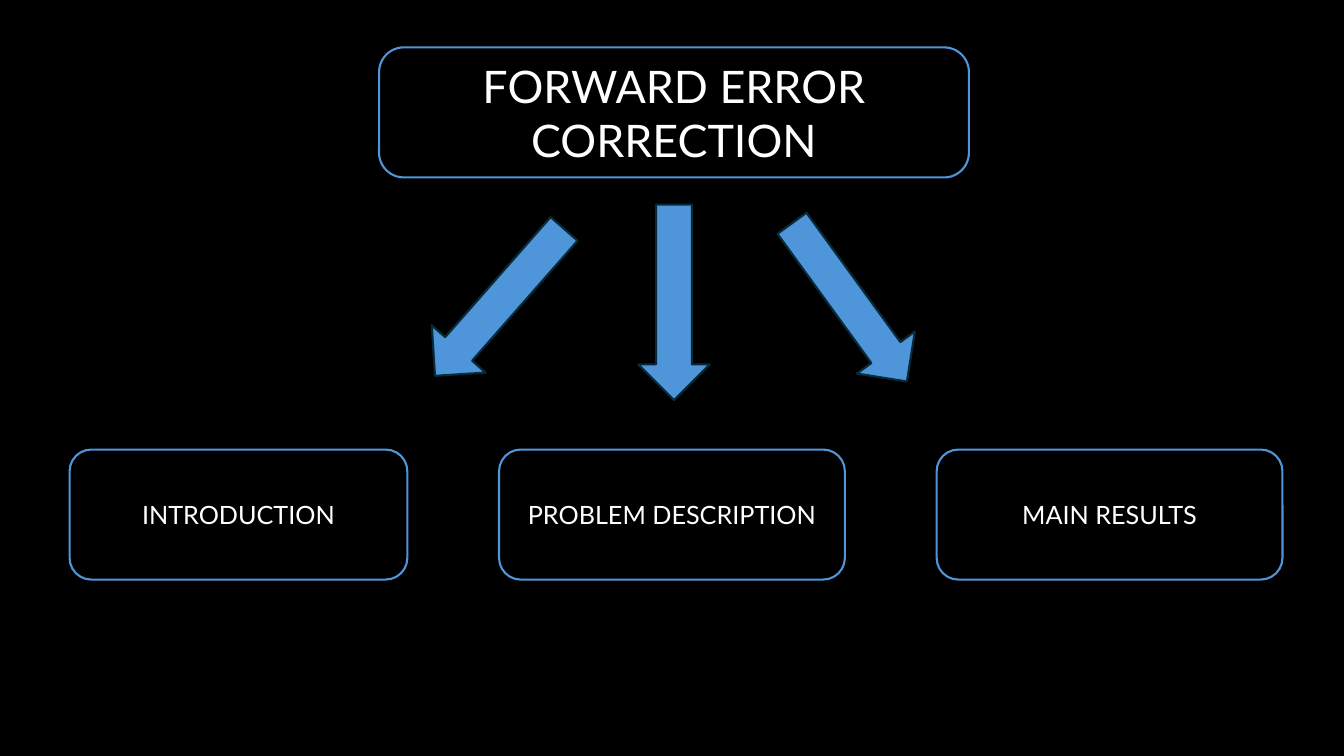
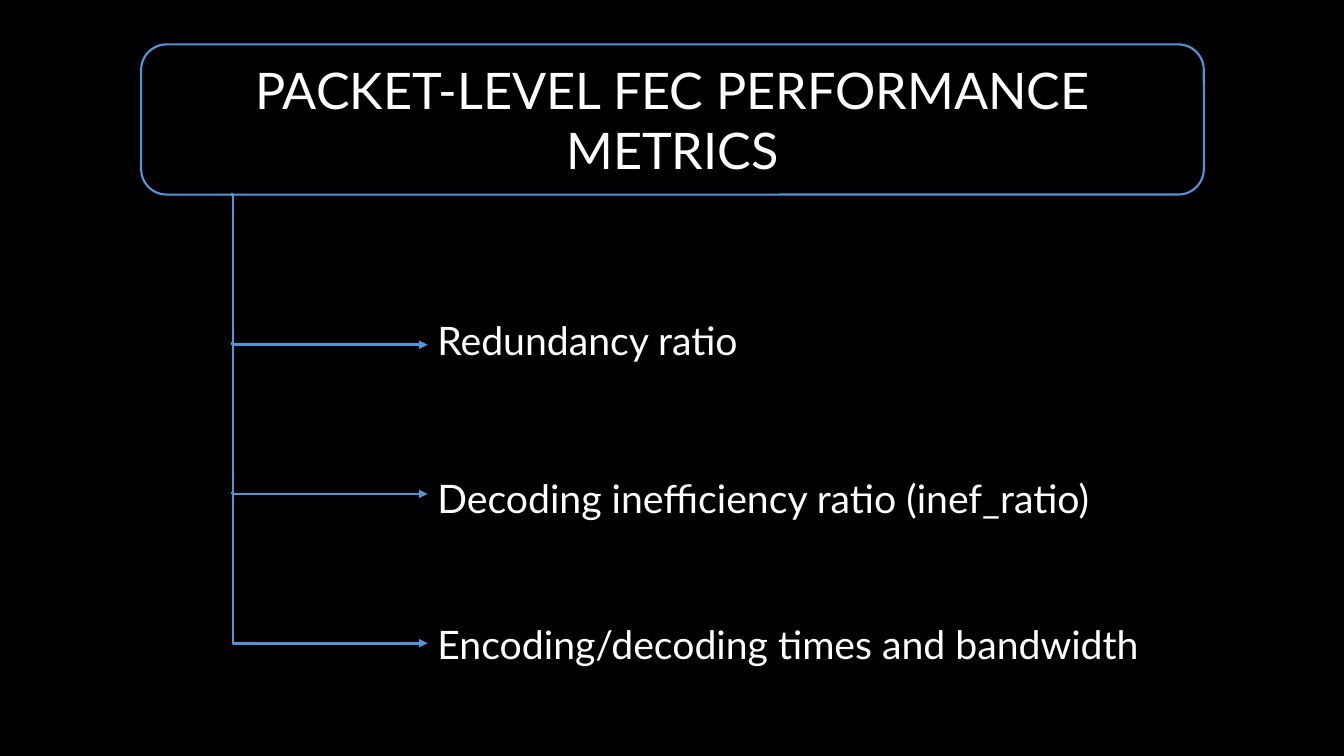
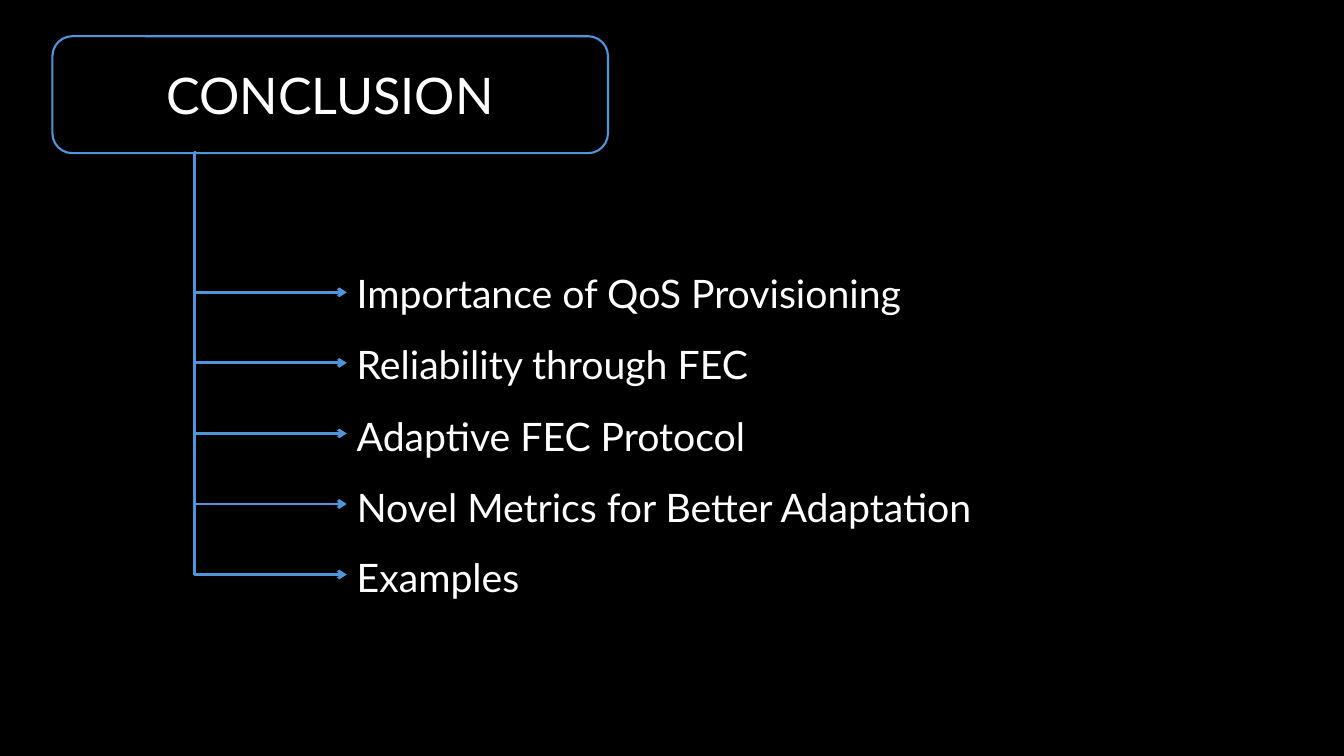
import pptx
import pptx.util
import pptx.dml.color
import pptx.enum.shapes
import pptx.enum.text
import pptx.oxml
import pptx.oxml.ns

PX = 9144
BLACK = pptx.dml.color.RGBColor(0x00, 0x00, 0x00)
WHITE = pptx.dml.color.RGBColor(0xFF, 0xFF, 0xFF)
BLUE = pptx.dml.color.RGBColor(0x4E, 0x95, 0xD9)
NAVY = pptx.dml.color.RGBColor(0x09, 0x2A, 0x39)
FONT = "Lato"
SHAPE = pptx.enum.shapes.MSO_SHAPE
ALIGN = pptx.enum.text.PP_ALIGN


def emu(*lengths):
    """Turn px lengths into EMU."""
    return [pptx.util.Emu(length * PX) for length in lengths]


def write(tf, text, size, align=ALIGN.LEFT):
    """Write one run into the first paragraph of a text frame."""
    tf.word_wrap = True
    p = tf.paragraphs[0]
    p.alignment = align
    r = p.add_run()
    r.text = text
    r.font.name = FONT
    r.font.size = pptx.util.Pt(size)
    r.font.color.rgb = WHITE


def add_figure(s, kind, box, fill, line):
    """Add a filled and outlined preset shape."""
    sp = s.shapes.add_shape(kind, *emu(*box))
    sp.shadow.inherit = False
    sp.fill.solid()
    sp.fill.fore_color.rgb = fill
    sp.line.color.rgb = line
    sp.line.width = pptx.util.Pt(1.5)
    return sp


def add_card(s, box, text):
    """Add a rounded card with a centred label."""
    sp = add_figure(s, SHAPE.ROUNDED_RECTANGLE, box, BLACK, BLUE)
    write(sp.text_frame, text, 18, ALIGN.CENTER)


def add_title(s, box, text, size, corner=0.17):
    """Place the title over a rounded panel that fills the box."""
    panel = add_figure(s, SHAPE.ROUNDED_RECTANGLE, box, BLACK, BLUE)
    panel.adjustments[0] = corner
    title = s.shapes.title
    title._element.addprevious(panel._element)
    title.left, title.top, title.width, title.height = emu(*box)
    tf = title.text_frame
    tf.auto_size = pptx.enum.text.MSO_AUTO_SIZE.NONE
    tf.vertical_anchor = pptx.enum.text.MSO_ANCHOR.MIDDLE
    write(tf, text, size, ALIGN.CENTER)


def add_branch(s, box, bend, head):
    """Add an elbow arrow from the top left to the bottom right of the box."""
    x, y, w, h = box
    c = s.shapes.add_connector(
        pptx.enum.shapes.MSO_CONNECTOR.ELBOW, *emu(x, y, x + w, y + h))
    c.line.color.rgb = BLUE
    c.line.width = pptx.util.Pt(2)
    qn = pptx.oxml.ns.qn
    sub = pptx.oxml.parse_xml
    ns = pptx.oxml.ns.nsdecls("a")
    spPr = c._element.spPr
    spPr.find(qn("a:prstGeom")).get_or_add_avLst().append(
        sub(f'<a:gd {ns} name="adj1" fmla="val {bend}"/>'))
    spPr.find(qn("a:ln")).append(sub(f'<a:tailEnd {ns} type="{head}"/>'))
    spPr.append(sub(f"<a:effectLst {ns}/>"))


def add_item(s, box, text):
    """Add one line of the list."""
    sp = s.shapes.add_textbox(*emu(*box))
    write(sp.text_frame, text, 28)
    sp.text_frame.auto_size = pptx.enum.text.MSO_AUTO_SIZE.SHAPE_TO_FIT_TEXT


def new_slide(prs):
    """Add a title-only slide."""
    return prs.slides.add_slide(prs.slide_layouts[5])


def overview_slide(prs, title, cards):
    """Build a title with arrows to a row of cards."""
    s = new_slide(prs)
    add_title(s, (376, 47, 585, 129), title, 32, 0.19)
    x = 69
    for text, width in cards:
        add_card(s, (x, 446, width, 129), text)
        x += width + 91
    for left, angle in (633, 0), (460, 41.3), (807, 324):
        arrow = add_figure(s, SHAPE.DOWN_ARROW, (left, 203, 71, 194), BLUE, NAVY)
        arrow.rotation = angle


def tree_slide(prs, title, box, branch, pitch, bend, head, items):
    """Build a title whose trunk branches out to each list item."""
    s = new_slide(prs)
    add_title(s, box, title, 36)
    x, y, w, h = branch
    for i, (text, top, width) in enumerate(items):
        add_branch(s, (x, y + i * pitch, w, h), bend, head)
        add_item(s, (x + w, top, width, 57), text)


def main():
    """Build and save the presentation."""
    prs = pptx.Presentation()
    prs.slide_width, prs.slide_height = emu(1333, 750)
    fill = prs.slide_master.background.fill
    fill.solid()
    fill.fore_color.rgb = BLACK

    overview_slide(prs, "FORWARD ERROR CORRECTION", [
        ("INTRODUCTION", 335),
        ("PROBLEM DESCRIPTION", 343),
        ("MAIN RESULTS", 343),
    ])
    tree_slide(
        prs, "PACKET-LEVEL FEC PERFORMANCE METRICS", (140, 44, 1054, 149),
        (229, 193, 195, 149), 148, 1100, "triangle", [
            ("Redundancy ratio", 309, 667),
            ("Decoding inefficiency ratio (inef_ratio)", 466, 742),
            ("Encoding/decoding times and bandwidth", 610, 778),
        ])
    tree_slide(
        prs, "CONCLUSION", (52, 36, 551, 116),
        (194, 151, 150, 139), 70, -600, "arrow", [
            ("Importance of QoS Provisioning", 262, 666),
            ("Reliability through FEC", 333, 666),
            ("Adaptive FEC Protocol", 404, 666),
            ("Novel Metrics for Better Adaptation", 475, 808),
            ("Examples", 544, 666),
        ])
    prs.save("out.pptx")


if __name__ == "__main__":
    main()
